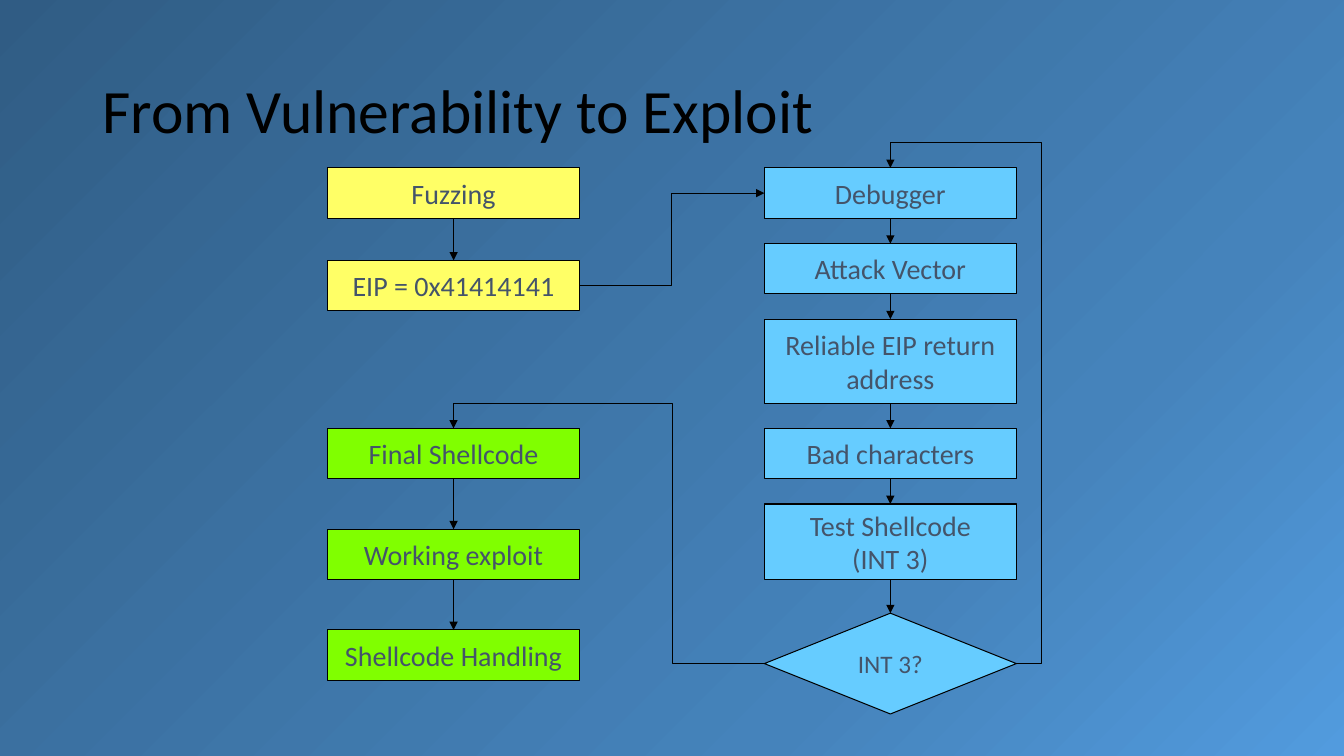
"""Build the flowchart slide that leads from a vulnerability to an exploit."""
from dataclasses import dataclass

from lxml import etree
from pptx import Presentation
from pptx.dml.color import RGBColor
from pptx.enum.shapes import MSO_CONNECTOR, MSO_SHAPE
from pptx.enum.text import MSO_ANCHOR, PP_ALIGN
from pptx.oxml import parse_xml
from pptx.oxml.ns import nsdecls, qn
from pptx.util import Pt

PROCESS, DECISION = MSO_SHAPE.FLOWCHART_PROCESS, MSO_SHAPE.FLOWCHART_DECISION
STRAIGHT, ELBOW = MSO_CONNECTOR.STRAIGHT, MSO_CONNECTOR.ELBOW
MIDDLE = MSO_ANCHOR.MIDDLE
LEFT, CENTER = PP_ALIGN.LEFT, PP_ALIGN.CENTER
TOP, BOTTOM = 0, 2


@dataclass(frozen=True)
class Theme:
    font: str = "Calibri"
    title_size: int = 44
    step_size: int = 20
    decision_size: int = 18
    line_width: float = 0.75
    black: str = "000000"
    text: str = "44546A"
    yellow: str = "FFFF66"
    blue: str = "66CCFF"
    green: str = "80FF00"
    background_start: str = "305C84"
    background_middle: str = "4583BB"
    background_end: str = "529BDE"


theme = Theme()


def write_text(shape, text, size, color, alignment, wrap):
    frame = shape.text_frame
    frame.text = text
    for name, value in {"word_wrap": wrap, "vertical_anchor": MIDDLE}.items():
        setattr(frame, name, value)
    for paragraph in frame.paragraphs:
        paragraph.alignment = alignment
        font_format = {"name": theme.font, "size": Pt(size)}
        for name, value in font_format.items():
            setattr(paragraph.runs[0].font, name, value)
        paragraph.runs[0].font.color.rgb = RGBColor.from_string(color)


def add_arrow(kind, start, end):
    connector = slide.shapes.add_connector(kind, *map(Pt, start + end))
    connector.line.width = Pt(theme.line_width)
    connector.line.color.rgb = RGBColor.from_string(theme.black)
    properties = connector.element.spPr
    etree.SubElement(properties.find(qn("a:ln")), qn("a:tailEnd"), type="triangle")
    etree.SubElement(properties, qn("a:effectLst"))
    return connector


presentation = Presentation()
presentation.slide_width, presentation.slide_height = Pt(960), Pt(540)
slide = presentation.slides.add_slide(presentation.slide_layouts[6])

slide.background.fill.gradient()
gradient = slide.element.find(".//" + qn("a:gradFill"))
gradient.getparent().replace(gradient, parse_xml(f"""
<a:gradFill {nsdecls("a")} rotWithShape="1">
  <a:gsLst>
    <a:gs pos="0"><a:srgbClr val="{theme.background_start}"/></a:gs>
    <a:gs pos="72000"><a:srgbClr val="{theme.background_middle}"><a:alpha val="58000"/></a:srgbClr></a:gs>
    <a:gs pos="100000"><a:srgbClr val="{theme.background_end}"/></a:gs>
  </a:gsLst>
  <a:path path="circle"><a:fillToRect r="100000" b="100000"/></a:path>
</a:gradFill>"""))

title = slide.shapes.add_textbox(Pt(66), Pt(28.8), Pt(828), Pt(104.4))
write_text(title, "From Vulnerability to Exploit", theme.title_size, theme.black, LEFT, True)
title.text_frame.paragraphs[0].line_spacing = 0.9

left_column, right_column, step_width = 234, 546, 180
chains = [
    (left_column, theme.yellow, [("Fuzzing", 120, 36), ("EIP = 0x41414141", 186, 36)]),
    (right_column, theme.blue, [
        ("Debugger", 120, 36),
        ("Attack Vector", 174, 36),
        ("Reliable EIP return\naddress", 228, 60),
        ("Bad characters", 306, 36),
        ("Test Shellcode\n(INT 3)", 360, 54),
        ("INT 3?", 438, 72),
    ]),
    (left_column, theme.green, [
        ("Final Shellcode", 306, 36),
        ("Working exploit", 378, 36),
        ("Shellcode Handling", 450, 36),
    ]),
]
for left, fill, steps in chains:
    previous = None
    for text, top, height in steps:
        is_decision = text == "INT 3?"
        step = slide.shapes.add_shape(
            DECISION if is_decision else PROCESS, Pt(left), Pt(top), Pt(step_width), Pt(height))
        step.shadow.inherit = False
        step.fill.solid()
        step.fill.fore_color.rgb = RGBColor.from_string(fill)
        step.line.color.rgb = RGBColor.from_string(theme.black)
        step.line.width = Pt(theme.line_width)
        size = theme.decision_size if is_decision else theme.step_size
        write_text(step, text, size, theme.text, CENTER, False)
        if previous is not None:
            center = left + step_width / 2
            arrow = add_arrow(STRAIGHT, (center, top), (center, top))
            arrow.begin_connect(previous, BOTTOM)
            arrow.end_connect(step, TOP)
        previous = step

add_arrow(ELBOW, (414, 204), (546, 138))

detours = [
    ((726, 474), (636, 120), 744, 102),
    ((546, 474), (324, 306), 480, 288),
]
for start, end, turn_x, turn_y in detours:
    detour = add_arrow(ELBOW, start, end)
    geometry = detour.element.spPr.find(qn("a:prstGeom"))
    geometry.set("prst", "bentConnector4")
    guides = geometry.find(qn("a:avLst"))
    for axis, turn in enumerate((turn_x, turn_y)):
        ratio = (turn - start[axis]) / (end[axis] - start[axis])
        etree.SubElement(guides, qn("a:gd"), name=f"adj{axis + 1}", fmla=f"val {round(ratio * 100000)}")

presentation.save("out.pptx")
